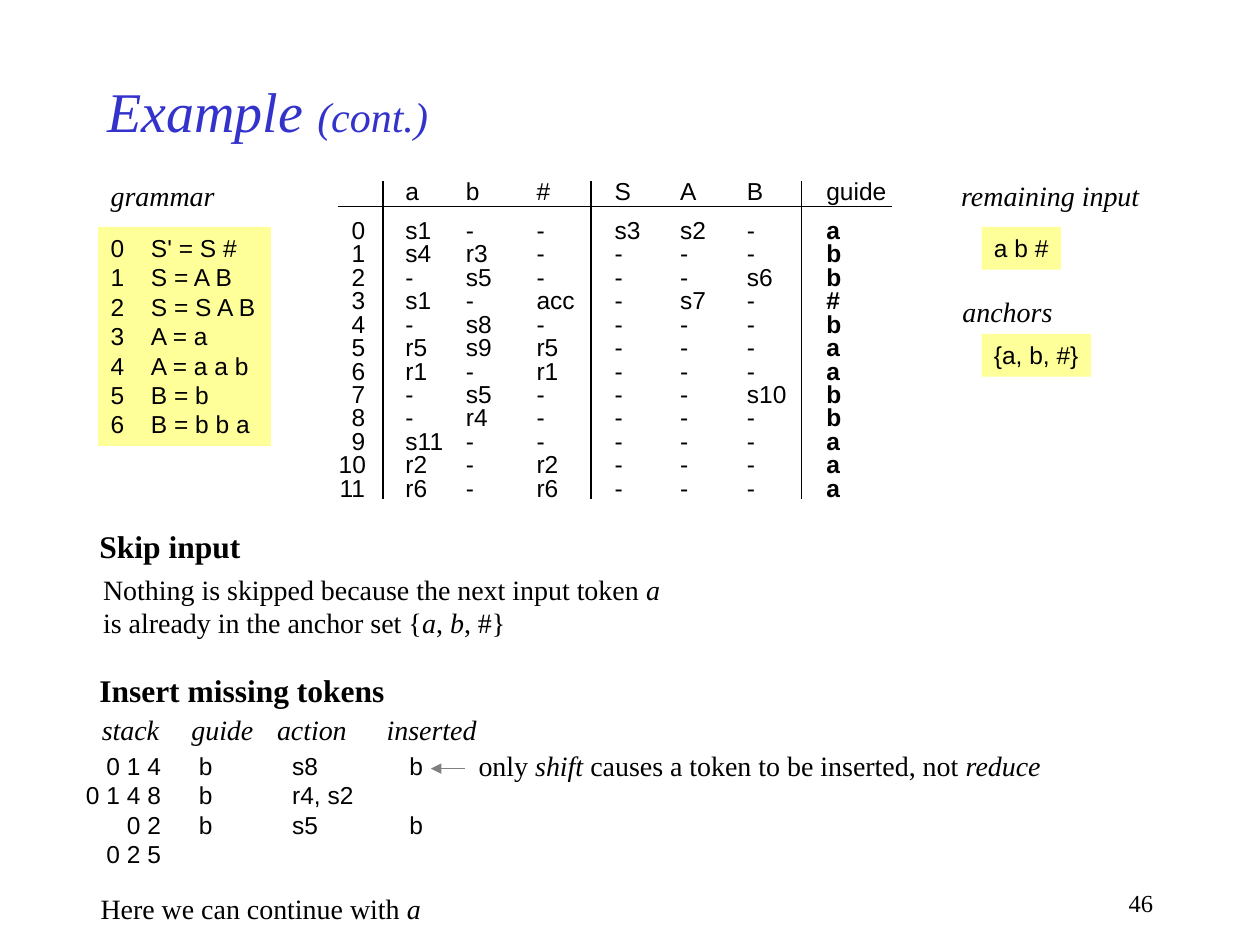
from lxml.etree import SubElement
from pptx import Presentation
from pptx.dml.color import RGBColor
from pptx.enum.shapes import MSO_CONNECTOR, MSO_SHAPE
from pptx.enum.text import MSO_ANCHOR, MSO_AUTO_SIZE, PP_ALIGN
from pptx.oxml.ns import qn
from pptx.util import Inches, Pt

THEME = {
    "ink": RGBColor.from_string("000000"),
    "title": RGBColor.from_string("3333CC"),
    "panel": RGBColor.from_string("FFFF99"),
    "arrow": RGBColor.from_string("808080"),
    # font, size, line height, attribute given to *marked* words
    "code": ("Arial", 14, 16.8, "bold"),
    "prose": ("Times New Roman", 16, 18.9, "italic"),
    "heading": ("Times New Roman", 18, 21.2, "bold"),
    "number": ("Times New Roman", 14, 16.5, "bold"),
    "rule": 0.75,
    "row_height": 13.4,
}

prs = Presentation()
prs.slide_width, prs.slide_height = Inches(10), Inches(7.5)
CELL = prs.slide_width // 100  # square grid: 100 columns by 75 rows
s = prs.slides.add_slide(prs.slide_layouts[5])


def add_text(at, lines, style, tabs=(), panel=False, align=PP_ALIGN.LEFT):
    """Place lines at (column, row, columns, rows); *marked* words get the style's emphasis."""
    sp = s.shapes.add_shape(MSO_SHAPE.RECTANGLE, *(int(n * CELL) for n in at)) if panel \
        else s.shapes.add_textbox(*(int(n * CELL) for n in at))
    if panel:
        sp.shadow.inherit = False
        sp.fill.solid()
        sp.fill.fore_color.rgb = THEME["panel"]
        sp.line.fill.background()
    tf = sp.text_frame
    font, size, height, emphasis = THEME[style]
    frame = {"word_wrap": True, "vertical_anchor": MSO_ANCHOR.TOP,
             "margin_left": CELL, "margin_top": CELL // 2, "margin_bottom": CELL // 2,
             "margin_right": CELL if align == PP_ALIGN.RIGHT else 0}
    for name, value in frame.items():
        setattr(tf, name, value)
    for i, line in enumerate(lines):
        p = tf.add_paragraph() if i else tf.paragraphs[0]
        if tabs:
            tab_list = SubElement(p._p.get_or_add_pPr(), qn("a:tabLst"))
            for pos, side in tabs:
                SubElement(tab_list, qn("a:tab"), pos=str(int(pos * CELL)), algn=side)
        p.alignment, p.line_spacing = align, Pt(height)
        for j, part in enumerate(line.split("*")):
            if part:
                r = p.add_run()
                r.text = part
                r.font.color.rgb = THEME["ink"]
                for name, value in {"name": font, "size": Pt(size), emphasis: j % 2 == 1}.items():
                    setattr(r.font, name, value)
    return tf


def add_line(x1, y1, x2, y2, color):
    ends = (int(n * CELL) for n in (x1, y1, x2, y2))
    line = s.shapes.add_connector(MSO_CONNECTOR.STRAIGHT, *ends)
    line.line.color.rgb, line.line.width = THEME[color], Pt(THEME["rule"])
    SubElement(line._element.spPr, qn("a:effectLst"))
    return line


# Title
title = s.shapes.title
place = {"left": 7.5, "top": 5, "width": 75, "height": 7.5}
for name, value in place.items():
    setattr(title, name, int(value * CELL))
tf = title.text_frame
tf.auto_size, tf.vertical_anchor = MSO_AUTO_SIZE.NONE, MSO_ANCHOR.MIDDLE
p = tf.paragraphs[0]
p.alignment = PP_ALIGN.LEFT
for text, size in (("Example ", 32), ("(cont.)", 24)):
    r = p.add_run()
    r.text = text
    r.font.color.rgb = THEME["title"]
    for name, value in {"name": "Times New Roman", "size": Pt(size), "italic": True}.items():
        setattr(r.font, name, value)

# Parse table: state, actions, gotos and guide
states = [
    "s1 - - s3 s2 - a", "s4 r3 - - - - b", "- s5 - - - s6 b", "s1 - acc - s7 - #",
    "- s8 - - - - b", "r5 s9 r5 - - - a", "r1 - r1 - - - a", "- s5 - - - s10 b",
    "- r4 - - - - b", "s11 - - - - - a", "r2 - r2 - - - a", "r6 - r6 - - - a",
]
rows = ["\t\t" + "\t".join("a b # S A B guide".split())]
for state, entries in enumerate(states):
    *moves, guide = entries.split()
    rows.append("\t".join(["", str(state), *moves, f"*{guide}*"]))
columns = [(2.1, "r")] + [(x, "l") for x in (5.3, 10.1, 15.7, 21.9, 27.1, 32.4, 38.7)]
table = add_text((25.9, 13.5, 45.4, 27), rows, "code", columns)
table.paragraphs[1].space_before = Pt(5.2)
for p in table.paragraphs[2:]:
    p.line_spacing = Pt(THEME["row_height"])
add_line(26.8, 16.4, 70.8, 16.4, "ink")
for x in (30.4, 46.9, 63.6):
    add_line(x, 14.4, x, 39.6, "ink")

# Yellow panels
rules = ["S' = S #", "S = A B", "S = S A B", "A = a", "A = a a b", "B = b", "B = b b a"]
panels = [
    ((7.8, 18, 13.7, 17.4), [f"{i}\t{rule}" for i, rule in enumerate(rules)]),
    ((77.9, 18, 6.3, 3.4), ["a b #"]),
    ((77.9, 26.5, 8.7, 3.4), ["{a, b, #}"]),
]
for at, lines in panels:
    add_text(at, lines, "code", [(3.2, "l")], panel=True)

# Italic labels
labels = [
    ("grammar", 7.8, 13.7, 10.2), ("remaining input", 75.3, 13.7, 16.2),
    ("anchors", 75.4, 22.9, 9.1), ("stack", 7.1, 56.1, 6.5), ("guide", 14.2, 56.1, 6.9),
    ("action", 21, 56.1, 7.5), ("inserted", 29.7, 56.1, 9.1),
]
for text, x, y, width in labels:
    add_text((x, y, width, 3.7), [f"*{text}*"], "prose")

# Headings and explanations
add_text((6.9, 41.4, 13.2, 4), ["*Skip input*"], "heading")
add_text((7.2, 45, 46.2, 6.4),
         ["Nothing is skipped because the next input token *a*",
          "is already in the anchor set {*a*, *b*, #}"], "prose")
add_text((6.9, 52.8, 24.6, 4), ["*Insert missing tokens*"], "heading")
add_text((4.4, 59.1, 30.1, 10.4),
         ["\t0 1 4\tb\ts8\tb", "\t0 1 4 8\tb\tr4, s2", "\t0 2\tb\ts5\tb", "\t0 2 5"],
         "code", [(7.4, "r"), (10.4, "l"), (17.8, "l"), (27.1, "l")])
add_text((37, 59, 46.7, 3.7),
         ["only *shift* causes a token to be inserted, not *reduce*"], "prose")
arrow = add_line(36.9, 61, 34.2, 61, "arrow")
SubElement(arrow.line._get_or_add_ln(), qn("a:tailEnd"), type="triangle")
add_text((7, 70.3, 27.4, 3.7), ["Here we can continue with *a*"], "prose")
add_text((71.7, 70, 20.8, 3.3), ["46"], "number", align=PP_ALIGN.RIGHT)

prs.save("out.pptx")
